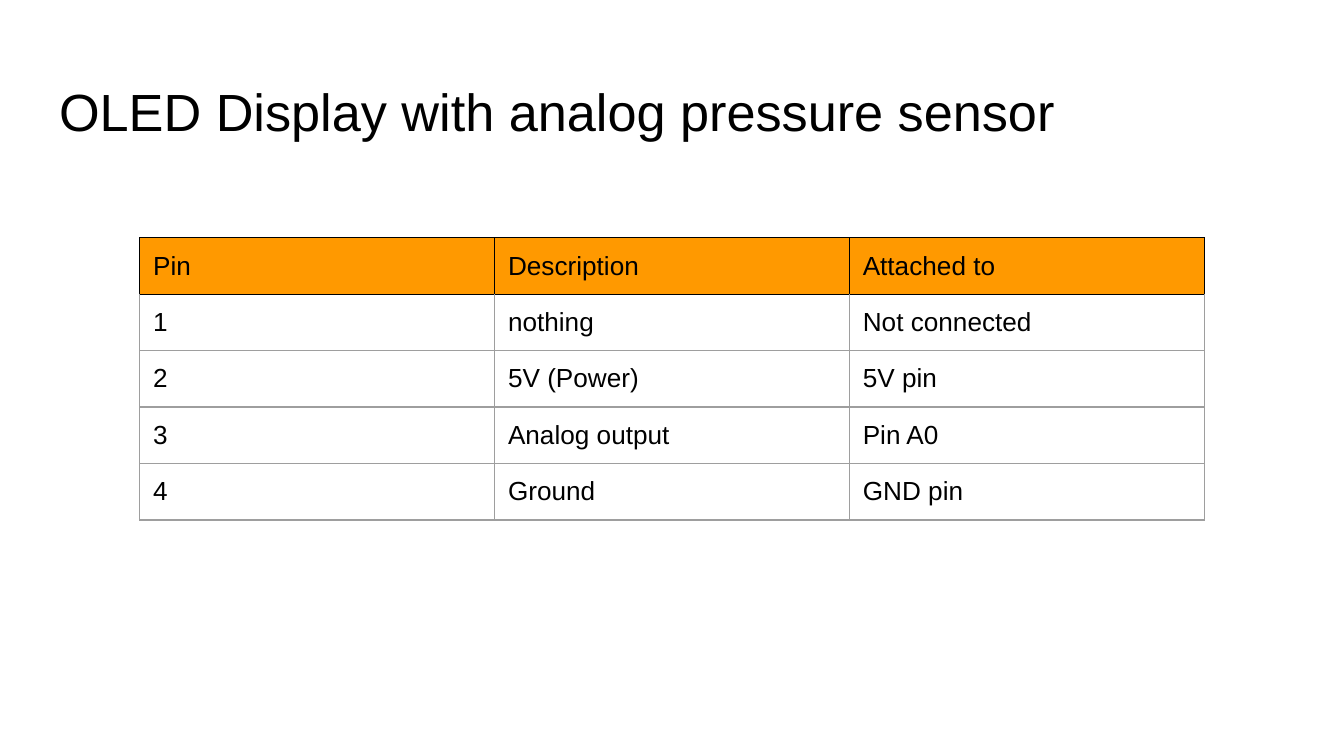
from lxml import etree
from pptx import Presentation
from pptx.dml.color import RGBColor
from pptx.enum.text import MSO_ANCHOR, MSO_AUTO_SIZE, PP_ALIGN
from pptx.oxml.ns import qn
from pptx.util import Inches, Pt

TOP = MSO_ANCHOR.TOP
NO_FIT = MSO_AUTO_SIZE.NONE
LEFT = PP_ALIGN.LEFT
TITLE_ONLY = 5

PIN_ROWS = [
    ("Pin", "Description", "Attached to"),
    ("1", "nothing", "Not connected"),
    ("2", "5V (Power)", "5V pin"),
    ("3", "Analog output", "Pin A0"),
    ("4", "Ground", "GND pin"),
]


def color(value):
    """Turn a hex string into a colour."""
    return RGBColor.from_string(value)


def set_attributes(target, values):
    """Set each named value on the target."""
    for name, value in values.items():
        setattr(target, name, value)


class SlideBuilder:
    """Hold the style and the current slide."""

    font = "Arial"
    ink = "000000"
    grid = "9E9E9E"
    header_fill = "FF9900"
    border_width = Pt(0.75)
    margins = {
        "margin_left": Inches(0.1),
        "margin_right": Inches(0.1),
        "margin_top": Inches(0.1),
        "margin_bottom": Inches(0.1),
    }

    def __init__(self, presentation):
        """Add the slide to the presentation."""
        self.slide = presentation.slides.add_slide(
            presentation.slide_layouts[TITLE_ONLY])

    def format_text(self, text_frame, size):
        """Apply the font, size and alignment to every paragraph."""
        for paragraph in text_frame.paragraphs:
            paragraph.alignment = LEFT
            set_attributes(paragraph.font, {
                "name": self.font, "size": Pt(size), "bold": False})
            paragraph.font.color.rgb = color(self.ink)

    def title(self, text, left, top, width, height):
        """Fill and place the title placeholder."""
        shape = self.slide.shapes.title
        set_attributes(shape, {
            "left": Inches(left), "top": Inches(top),
            "width": Inches(width), "height": Inches(height)})
        set_attributes(shape.text_frame, {
            "text": text, "word_wrap": True, "auto_size": NO_FIT,
            "vertical_anchor": TOP, **self.margins})
        self.format_text(shape.text_frame, 28)

    def border(self, cell, side, line_color):
        """Draw one side of a cell."""
        properties = cell._tc.get_or_add_tcPr()
        line = etree.SubElement(
            properties, qn(f"a:ln{side}"), w=str(self.border_width))
        fill = etree.SubElement(line, qn("a:solidFill"))
        etree.SubElement(fill, qn("a:srgbClr"), val=line_color)

    def table(self, rows, left, top, column_width, row_height):
        """Add a table with a coloured header row."""
        columns = len(rows[0])
        table = self.slide.shapes.add_table(
            len(rows), columns, Inches(left), Inches(top),
            Inches(column_width * columns),
            Inches(row_height * len(rows))).table
        set_attributes(table, {"first_row": False, "horz_banding": False})
        for column in table.columns:
            column.width = Inches(column_width)
        for row_index, texts in enumerate(rows):
            table.rows[row_index].height = Inches(row_height)
            for column_index, text in enumerate(texts):
                cell = table.cell(row_index, column_index)
                set_attributes(cell, {
                    "text": text, "vertical_anchor": TOP, **self.margins})
                self.format_text(cell.text_frame, 14)
                for side in "LRTB":
                    dark = row_index == 0 or (row_index == 1 and side == "T")
                    self.border(cell, side, self.ink if dark else self.grid)
                if row_index == 0:
                    cell.fill.solid()
                    cell.fill.fore_color.rgb = color(self.header_fill)
                else:
                    cell.fill.background()


def main():
    """Build and save the presentation."""
    presentation = Presentation()
    set_attributes(presentation, {
        "slide_width": Inches(10), "slide_height": Inches(10 * 9 / 16)})
    builder = SlideBuilder(presentation)
    builder.title("OLED Display with analog pressure sensor",
                  0.34, 0.49, 9.32, 0.63)
    builder.table(PIN_ROWS, 1.04, 1.77, 2.64, 0.42)
    presentation.save("out.pptx")


if __name__ == "__main__":
    main()
